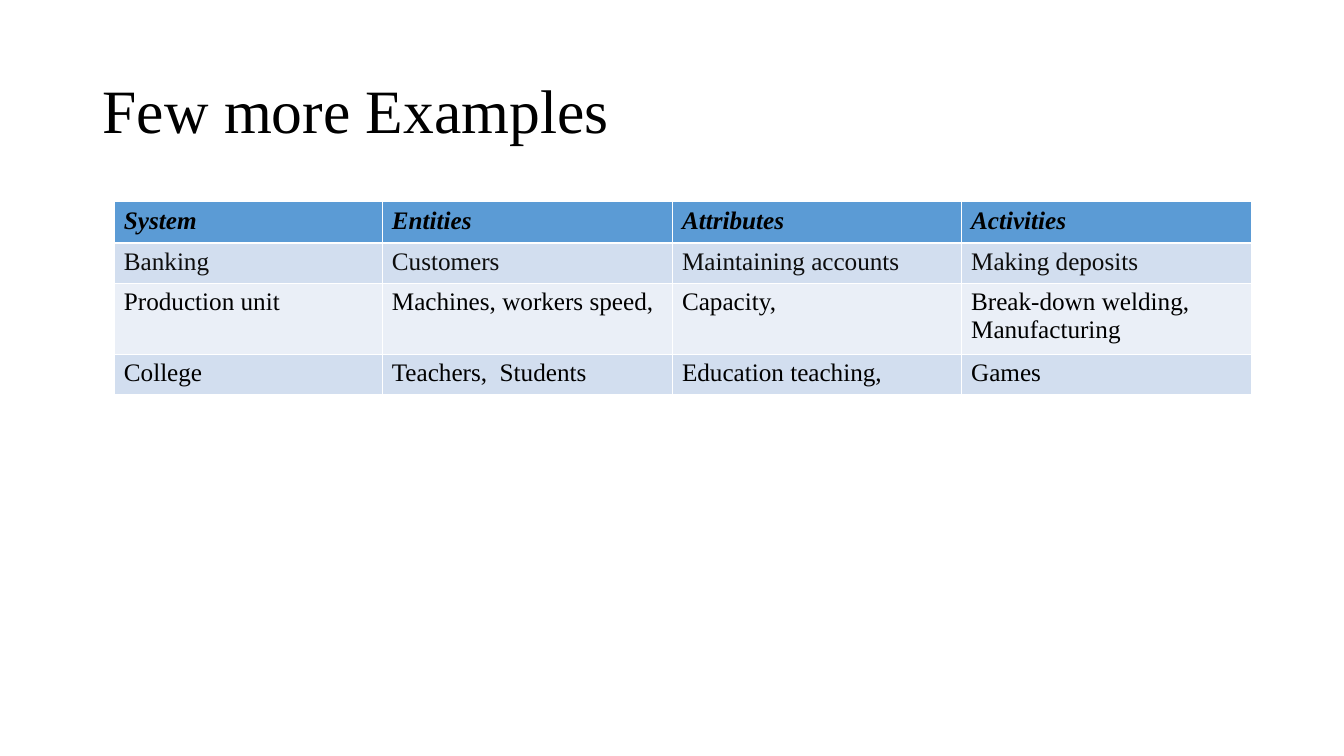
"""Build the slide with a table of example systems."""
import lxml.etree
import pptx
import pptx.dml.color
import pptx.enum.text
import pptx.oxml.ns
import pptx.util

TITLE = "Few more Examples"
ROWS = [
    ("System", "Entities", "Attributes", "Activities"),
    ("Banking", "Customers", "Maintaining accounts", "Making deposits"),
    ("Production unit", "Machines, workers speed,", "Capacity,", "Break-down welding, Manufacturing"),
    ("College", "Teachers,  Students", "Education teaching,", "Games"),
]
COLUMN_WIDTHS = [2.66, 2.88, 2.87, 2.88]
ROW_HEIGHTS = [0.41, 0.4, 0.7, 0.4]
TITLE_BOX = {"left": 0.92, "top": 0.4, "width": 11.5, "height": 1.45}
TABLE_LEFT, TABLE_TOP = 1.13, 2
COLORS = {
    "header": "5B9BD5",
    "dark band": "D2DEEF",
    "light band": "EAEFF7",
    "border": "FFFFFF",
    "text": "000000",
    "soft text": "0D0D0D",
}
ROW_STYLES = [
    ("header", "text"),
    ("dark band", "soft text"),
    ("light band", "text"),
    ("dark band", "text"),
]
THIN, THICK = 0.45, 1.47


def format_text(paragraph, color, **font_values):
    """Apply the shared typeface and the given font values."""
    font = paragraph.runs[0].font
    for name, value in {"name": "Times New Roman", **font_values}.items():
        setattr(font, name, value)
    font.color.rgb = pptx.dml.color.RGBColor.from_string(COLORS[color])


def add_borders(cell, row_index):
    """Outline a cell, with a thicker line under the header."""
    widths = {
        "a:lnL": THIN,
        "a:lnR": THIN,
        "a:lnT": THICK if row_index == 1 else THIN,
        "a:lnB": THICK if row_index == 0 else THIN,
    }
    qualify = pptx.oxml.ns.qn
    properties = cell._tc.get_or_add_tcPr()
    for position, (tag, width) in enumerate(widths.items()):
        line = lxml.etree.Element(qualify(tag), w=str(int(pptx.util.Pt(width))))
        fill = lxml.etree.SubElement(line, qualify("a:solidFill"))
        lxml.etree.SubElement(fill, qualify("a:srgbClr"), val=COLORS["border"])
        properties.insert(position, line)


def add_title(slide):
    """Fill and place the title placeholder."""
    title = slide.shapes.title
    for name, value in TITLE_BOX.items():
        setattr(title, name, pptx.util.Inches(value))
    frame = title.text_frame
    frame.text = TITLE
    frame.auto_size = pptx.enum.text.MSO_AUTO_SIZE.NONE
    frame.vertical_anchor = pptx.enum.text.MSO_ANCHOR.MIDDLE
    paragraph = frame.paragraphs[0]
    paragraph.alignment = pptx.enum.text.PP_ALIGN.LEFT
    paragraph.line_spacing = 0.9
    format_text(paragraph, "text", size=pptx.util.Pt(44))


def add_examples_table(slide):
    """Add the table and format every cell."""
    box = (TABLE_LEFT, TABLE_TOP, sum(COLUMN_WIDTHS), sum(ROW_HEIGHTS))
    table = slide.shapes.add_table(
        len(ROWS), len(COLUMN_WIDTHS), *map(pptx.util.Inches, box)
    ).table
    for column, width in zip(table.columns, COLUMN_WIDTHS):
        column.width = pptx.util.Inches(width)
    for row_index, (texts, (fill, color)) in enumerate(zip(ROWS, ROW_STYLES)):
        row = table.rows[row_index]
        row.height = pptx.util.Inches(ROW_HEIGHTS[row_index])
        is_header = row_index == 0
        for cell, text in zip(row.cells, texts):
            cell.text = text
            cell.fill.solid()
            cell.fill.fore_color.rgb = pptx.dml.color.RGBColor.from_string(COLORS[fill])
            add_borders(cell, row_index)
            format_text(
                cell.text_frame.paragraphs[0], color,
                size=pptx.util.Pt(18), bold=is_header, italic=is_header,
            )


def main():
    """Create and save the presentation."""
    presentation = pptx.Presentation()
    presentation.slide_width = pptx.util.Inches(13.34)
    presentation.slide_height = pptx.util.Inches(7.5)
    slide = presentation.slides.add_slide(presentation.slide_layouts.get_by_name("Title Only"))
    add_title(slide)
    add_examples_table(slide)
    presentation.save("out.pptx")


if __name__ == "__main__":
    main()
